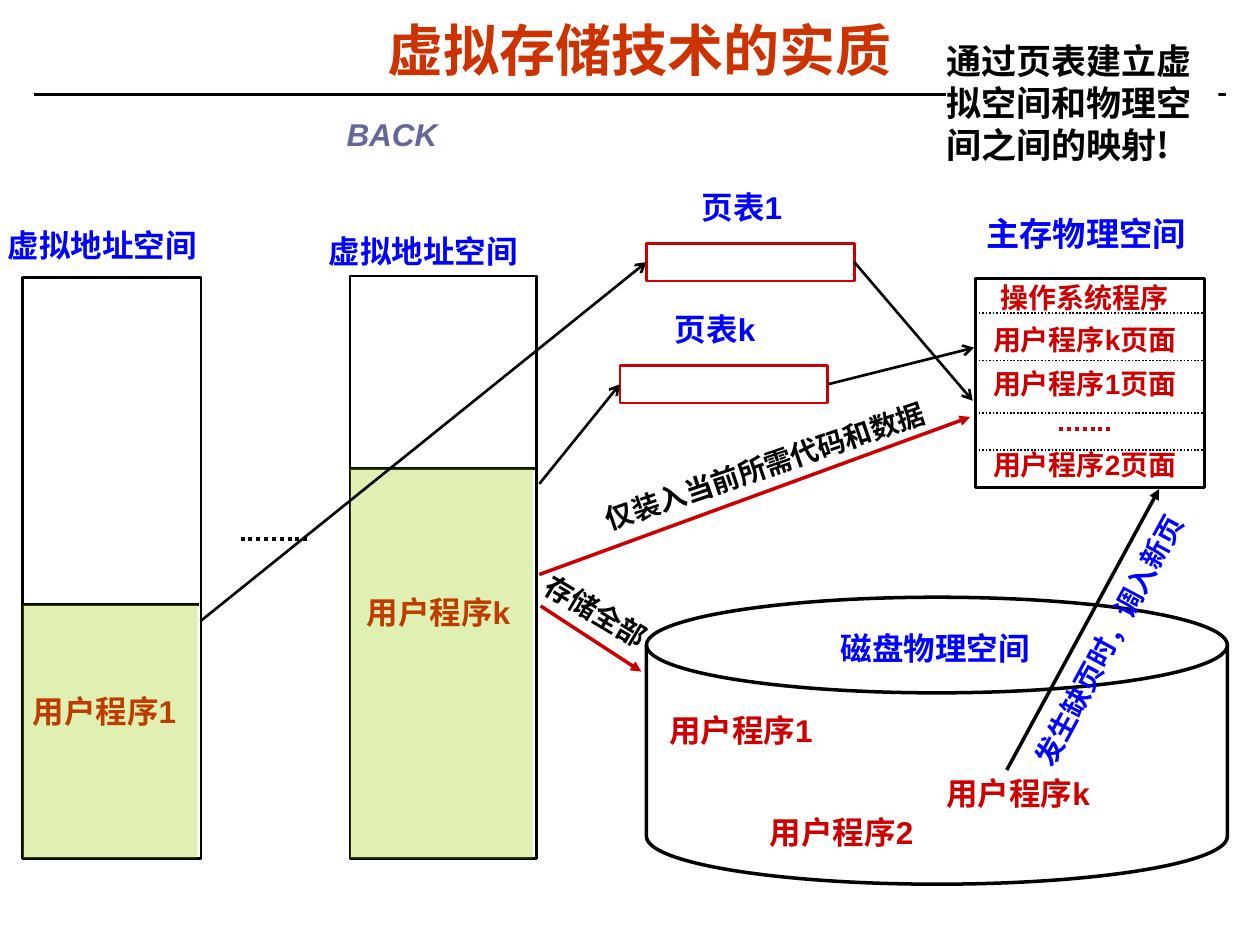
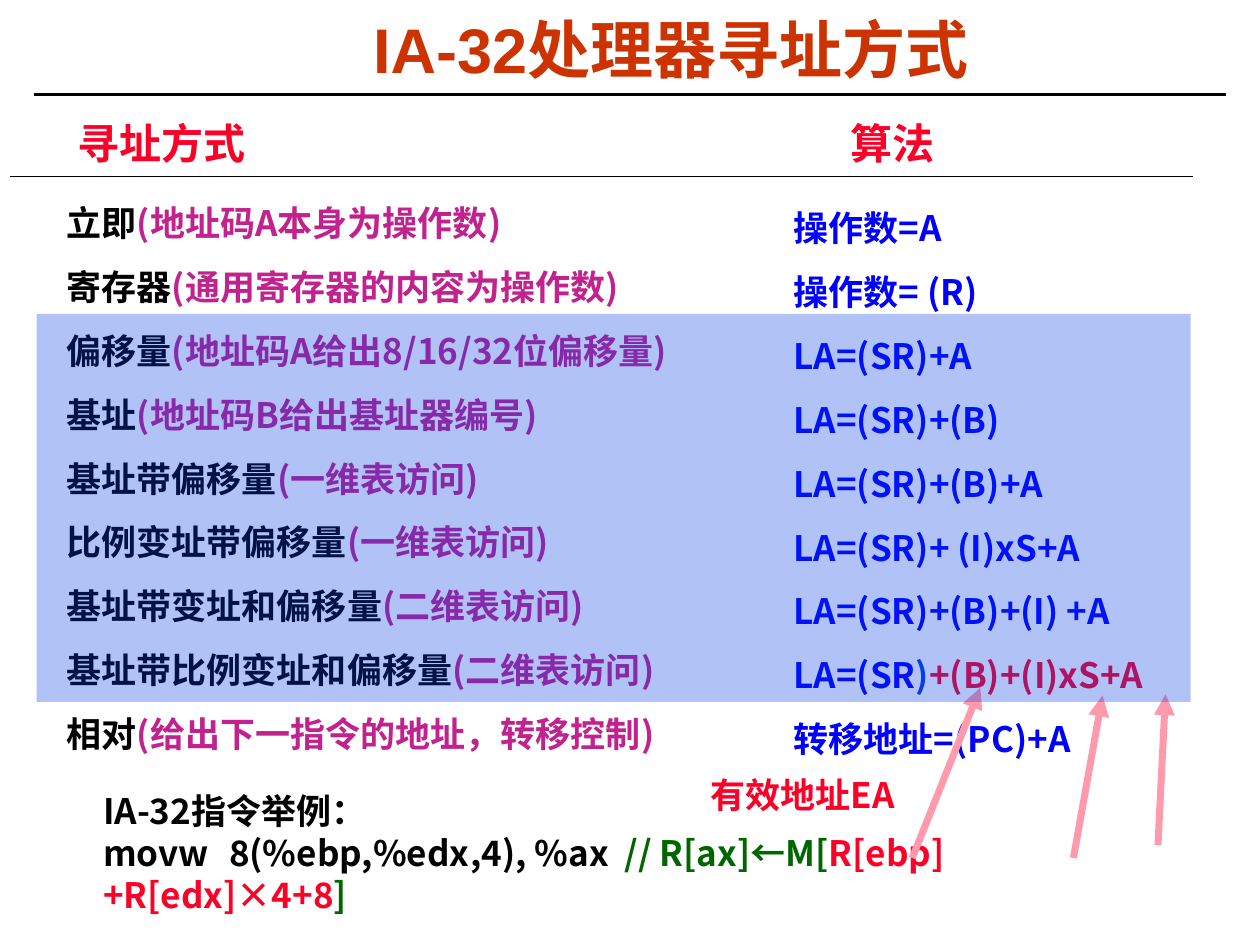
from lxml.etree import SubElement
from pptx import Presentation
from pptx.dml.color import RGBColor
from pptx.enum.dml import MSO_LINE
from pptx.enum.shapes import MSO_CONNECTOR, MSO_SHAPE
from pptx.enum.text import MSO_ANCHOR, PP_ALIGN
from pptx.oxml.ns import qn
from pptx.util import Pt

BLACK, WHITE = "000000", "FFFFFF"
TITLE_COLOR = "CC3300"
BLUE, RED, SCARLET = "0000FF", "CC0000", "FC0128"
GREEN, VIOLET, PINK = "006600", "C2228D", "FE9AAB"
ARIAL, TIMES, CJK = "Arial", "Times New Roman", "Noto Sans CJK SC"


def rgb(hex_color):
    return RGBColor.from_string(hex_color)


# ---- shared parts ----
def write(frame, paragraphs, size, color, font=ARIAL, gap=0, spacing=None,
          align=PP_ALIGN.LEFT, italic=None, inset=(0, 0),
          anchor=MSO_ANCHOR.TOP, tabs=()):
    """Each paragraph is a string or a list of (text, colour) runs."""
    frame.word_wrap = True
    frame.vertical_anchor = anchor
    frame.margin_left = frame.margin_right = Pt(inset[0])
    frame.margin_top = frame.margin_bottom = Pt(inset[1])
    for index, content in enumerate(paragraphs):
        paragraph = frame.paragraphs[0] if index == 0 else frame.add_paragraph()
        properties = paragraph._p.get_or_add_pPr()
        if tabs:
            tab_list = SubElement(properties, qn("a:tabLst"))
            for stop in tabs:
                SubElement(tab_list, qn("a:tab"), pos=str(Pt(stop)), algn="l")
        paragraph.alignment = align
        paragraph.line_spacing = spacing or Pt(1.2 * size)
        if index and gap:
            paragraph.space_before = Pt(gap)
        style = paragraph.font
        style.name, style.size, style.bold = font, Pt(size), True
        style.italic = italic
        SubElement(properties.find(qn("a:defRPr")), qn("a:ea"), typeface=CJK)
        if isinstance(content, str):
            style.color.rgb = rgb(color)
            paragraph.add_run().text = content
        else:
            for text, run_color in content:
                run = paragraph.add_run()
                run.text = text
                run.font.color.rgb = rgb(run_color)


def label(slide, x, y, w, h, paragraphs, size, color, rotation=0, **style):
    box = slide.shapes.add_textbox(Pt(x), Pt(y), Pt(w), Pt(h))
    box.rotation = rotation
    if isinstance(paragraphs, str):
        paragraphs = [paragraphs]
    write(box.text_frame, paragraphs, size, color, **style)


def block(slide, x, y, w, h, fill=WHITE, line=None, width=1.5, alpha=None,
          preset=MSO_SHAPE.RECTANGLE):
    shape = slide.shapes.add_shape(preset, Pt(x), Pt(y), Pt(w), Pt(h))
    shape.shadow.inherit = False
    shape.fill.solid()
    shape.fill.fore_color.rgb = rgb(fill)
    if alpha:
        color = shape._element.spPr.find(qn("a:solidFill"))[0]
        SubElement(color, qn("a:alpha"), val=str(alpha * 1000))
    if line:
        shape.line.color.rgb = rgb(line)
        shape.line.width = Pt(width)
    else:
        shape.line.fill.background()
    return shape


def rule(slide, start, end, color=BLACK, width=1.5, head=None, dotted=False):
    line = slide.shapes.add_connector(
        MSO_CONNECTOR.STRAIGHT, *(Pt(v) for v in (*start, *end)))
    line.line.color.rgb = rgb(color)
    line.line.width = Pt(width)
    if dotted:
        line.line.dash_style = MSO_LINE.ROUND_DOT
    if head:
        SubElement(line.line._get_or_add_ln(), qn("a:tailEnd"), type=head)
    SubElement(line._element.spPr, qn("a:effectLst"))
    return line


def titled_slide(deck, title, size, x, y, w, h):
    slide = deck.slides.add_slide(deck.slide_layouts[6])
    rule(slide, (19.5, 54), (700.5, 54))
    label(slide, x, y, w, h, title, size, TITLE_COLOR, spacing=0.87,
          align=PP_ALIGN.CENTER, anchor=MSO_ANCHOR.MIDDLE)
    return slide


# ---- virtual memory slide ----
def address_space(slide, x, y, w, h, program, used, caption_at, program_at):
    """A virtual address space whose bottom part, `used` high, is filled."""
    top = y + h - used
    block(slide, x, y, w, h, line=BLACK)
    rule(slide, (x, top), (x + w - 1, top))
    label(slide, x + program_at[0], y + program_at[1], 84, 43, program, 18, RED)
    block(slide, x, top, w - 2, used, "99CC00", alpha=30)
    label(slide, x + caption_at[0], y + caption_at[1], 137, 21.6,
          "虚拟地址空间", 18, BLUE)


def disk(slide, x, y, w, h):
    block(slide, x, y, w, h, line=BLACK, width=2,
          preset=MSO_SHAPE.FLOWCHART_MAGNETIC_DISK)
    label(slide, x + 111, y + 18, 112, 21.6, "磁盘物理空间", 18, BLUE)
    for program, dx, dy in (("用户程序1", 13, 65), ("用户程序k", 171.4, 101),
                            ("用户程序2", 70.5, 123)):
        label(slide, x + dx, y + dy, 84, 43, program, 18, RED)


def main_memory(slide, x, y, w, h):
    label(slide, x + 6.5, y - 37.4, w, 23, "主存物理空间", 19, BLUE)
    block(slide, x, y, w, h, line=BLACK)
    for divider in (20, 47, 77, 98):
        rule(slide, (x, y + divider), (x + w, y + divider),
             width=1, dotted=True)
    for page, dy in (("操作系统程序", 1.5), ("用户程序k页面", 25.5),
                     ("用户程序1页面", 50.5), ("用户程序2页面", 97)):
        label(slide, x, y + dy, w - 6, 19.4, page, 16, RED,
              align=PP_ALIGN.CENTER)
    rule(slide, (x + 48, y + 86), (x + 79, y + 86), RED, 2.25, dotted=True)


def page_table(slide, x, y, w, h, caption, source, target):
    label(slide, x + 10.5, y - 31.7, 88, 21.6, caption, 18, BLUE,
          align=PP_ALIGN.CENTER)
    table = block(slide, x, y, w, h, line=RED)
    middle = y + h / 2
    to_memory = rule(slide, (x + w, middle), target, head="arrow")
    to_memory.begin_connect(table, 3)
    from_program = rule(slide, source, (x, middle), head="arrow")
    from_program.end_connect(table, 1)


def transfer(slide, start, end, arrow_color, text, x, y, w, rotation, color):
    """An arrow with a tilted caption."""
    rule(slide, start, end, arrow_color, 2, "triangle")
    label(slide, x, y, w, 19.4, text, 16, color, rotation, font=CJK)


def virtual_memory_slide(deck):
    slide = titled_slide(deck, "虚拟存储技术的实质", 32, 18.7, 10, 693.4, 42)
    address_space(slide, 13, 158.5, 102, 332, "用户程序1", 145,
                  (-8.7, -29.6), (5.7, 237))
    address_space(slide, 200, 157.7, 106.5, 333, "用户程序k", 223,
                  (-12, -25.2), (9.5, 181.4))
    rule(slide, (137.5, 308.2), (175.7, 308.2), width=2.25, dotted=True)
    disk(slide, 369.4, 341.3, 332, 164)
    main_memory(slide, 557.3, 159, 131, 119.5)

    note = block(slide, 540.7, 22.3, 155.5, 72)
    write(note.text_frame, ["通过页表建立虚拟空间和物理空间之间的映射!"],
          20, BLACK, font=CJK)
    transfer(slide, (308.2, 328.3), (554.4, 238.3), RED,
             "仅装入当前所需代码和数据", 341.3, 256.3, 194.4, -18.9, BLACK)
    transfer(slide, (309, 346.3), (366.5, 383.8), RED,
             "存储全部", 308.2, 341.3, 70.6, 30.7, BLACK)
    transfer(slide, (575.3, 440), (662.4, 279.4), BLACK,
             "发生缺页时，调入新页", 540, 333.4, 211, -61.8, BLUE)
    label(slide, 198, 65.5, 148, 21.6, "BACK", 18, "666699", italic=True)

    page_table(slide, 369.4, 139, 118.8, 21.6, "页表1",
               (114.5, 355), (555.8, 229))
    page_table(slide, 354.2, 208.8, 118.8, 21.6, "页表k",
               (308.2, 276.5), (556.6, 198.7))


# ---- addressing modes slide ----
MODES = [
    ("立即", "(地址码A本身为操作数)", "操作数=A"),
    ("寄存器", "(通用寄存器的内容为操作数)", "操作数= (R)"),
    ("偏移量", "(地址码A给出8/16/32位偏移量)", "LA=(SR)+A"),
    ("基址", "(地址码B给出基址器编号)", "LA=(SR)+(B)"),
    ("基址带偏移量", "(一维表访问)", "LA=(SR)+(B)+A"),
    ("比例变址带偏移量", "(一维表访问)", "LA=(SR)+ (I)xS+A"),
    ("基址带变址和偏移量", "(二维表访问)", "LA=(SR)+(B)+(I) +A"),
    ("基址带比例变址和偏移量", "(二维表访问)",
     [("LA=(SR", BLUE), (")", "063DE8"), ("+(B)+(I)xS+A", SCARLET)]),
    ("相对", "(给出下一指令的地址，转移控制)", "转移地址=(PC)+A"),
]
INSET = (7.2, 3.6)


def mode_list(slide, x, y, w, h):
    for heading, dx, width in (("寻址方式", 6.5, 186), ("算法", 448, 66)):
        label(slide, x + dx, y - 48.2, width, 36, heading, 24, SCARLET,
              font=TIMES, inset=INSET)
    style = dict(font=CJK, gap=12.5, inset=INSET)
    names = [[(name, BLACK), (remark, VIOLET)] for name, remark, _ in MODES]
    label(slide, x, y, 426, h, names, 20, BLACK, **style)
    label(slide, x + 415.4, y + 2.9, w - 415.4, h,
          [formula for *_, formula in MODES], 20, BLUE, **style)


def instruction_example(slide, x, y, w, h):
    code = [
        "IA-32指令举例：",
        [("movw\t8(%ebp,%edx,4), %ax\t", BLACK), ("// R[ax]←M[", GREEN),
         ("R[ebp]+R[edx]×4+8", SCARLET), ("]", GREEN)],
    ]
    label(slide, x, y, w, h, code, 20, BLACK, font=CJK, inset=INSET,
          anchor=MSO_ANCHOR.MIDDLE, tabs=(72, 298))


def addressing_slide(deck):
    slide = titled_slide(deck, "IA-32处理器寻址方式", 36, 102.5, 8.6, 561.6, 44.6)
    rule(slide, (5.8, 100.8), (682, 100.8), width=0.75)
    mode_list(slide, 31, 111.6, 682, 323)
    instruction_example(slide, 51.8, 459.4, 615.6, 55.4)
    for start, end in (((521.3, 490.3), (560.2, 393)),
                       ((613.4, 490.3), (630, 397.4)),
                       ((661.7, 483), (666, 396.7))):
        rule(slide, start, end, PINK, 4, "triangle")
    block(slide, 20.9, 179.3, 659.5, 221.8, "063DE8", alpha=31)
    label(slide, 398.9, 438.5, 151, 31.7, "有效地址EA", 20, SCARLET,
          font=CJK, inset=INSET)


def main():
    deck = Presentation()
    deck.slide_width, deck.slide_height = Pt(720), Pt(540)
    virtual_memory_slide(deck)
    addressing_slide(deck)
    deck.save("out.pptx")


if __name__ == "__main__":
    main()
